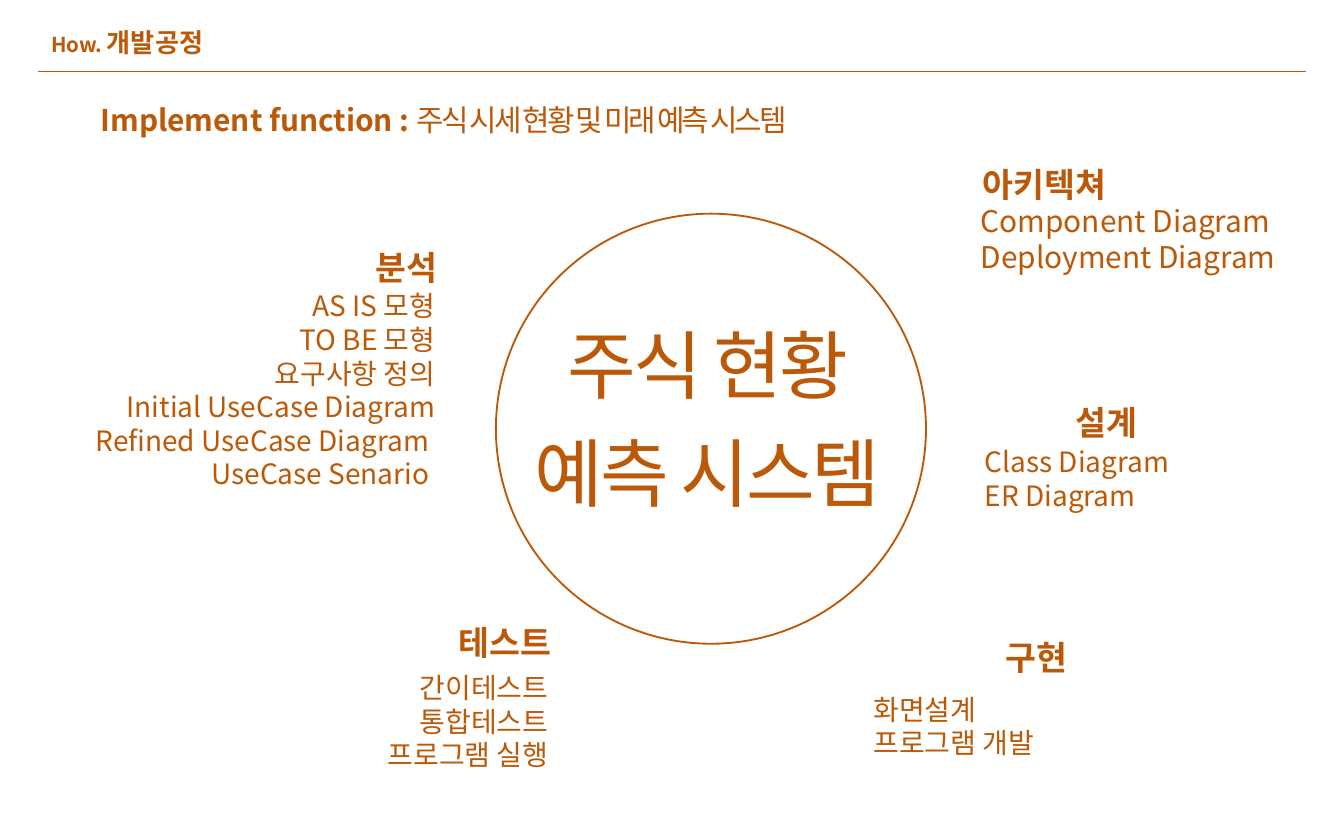
from lxml import etree
from pptx import Presentation
from pptx.dml.color import RGBColor
from pptx.enum.shapes import MSO_CONNECTOR, MSO_SHAPE
from pptx.enum.text import MSO_ANCHOR, MSO_AUTO_SIZE, PP_ALIGN
from pptx.oxml.ns import qn
from pptx.util import Inches, Pt

LEFT, CENTER, RIGHT = PP_ALIGN.LEFT, PP_ALIGN.CENTER, PP_ALIGN.RIGHT
TOP, MIDDLE = MSO_ANCHOR.TOP, MSO_ANCHOR.MIDDLE
NO_AUTOFIT = MSO_AUTO_SIZE.NONE
STRAIGHT = MSO_CONNECTOR.STRAIGHT
OVAL = MSO_SHAPE.OVAL
FONT = "Noto Sans CJK KR"
COLORS = {"accent": "BC5908", "background": "FFFFFF"}
LINE_HEIGHT = 1.2

TOPICS = [
    {"heading": "분석", "heading_at": (2.52, 1.79, 0.83, 0.4),
     "items": ["AS IS 모형", "TO BE 모형", "요구사항 정의", "Initial UseCase Diagram",
               "Refined UseCase Diagram ", "UseCase Senario "],
     "items_at": (0.35, 2.1, 2.99, 1.62), "align": RIGHT},
    {"heading": "아키텍쳐", "heading_at": (7.07, 1.17, 1.26, 0.4),
     "items": ["Component Diagram", "Deployment Diagram"],
     "items_at": (7.2, 1.46, 2.66, 0.64), "size": 16},
    {"heading": "설계", "heading_at": (7.73, 2.94, 0.83, 0.4),
     "items": ["Class Diagram", "ER Diagram"],
     "items_at": (7.23, 3.26, 2.13, 0.61)},
    {"heading": "구현", "heading_at": (7.31, 4.69, 0.73, 0.4),
     "items": ["화면설계", "프로그램 개발"],
     "items_at": (6.4, 5.1, 2.13, 0.61)},
    {"heading": "테스트", "heading_at": (2.07, 4.58, 2.13, 0.4),
     "items": ["간이테스트", "통합테스트", "프로그램 실행"],
     "items_at": (2.47, 4.94, 1.71, 0.86), "align": RIGHT},
]


def color(name):
    """Return the named palette colour."""
    return RGBColor.from_string(COLORS[name])


def add_span(para, text, size, bold=False, spacing=0):
    """Append one formatted run to a paragraph."""
    span = para.add_run()
    span.text = text
    span.font.name = FONT
    span.font.size = Pt(size)
    span.font.bold = bold
    span.font.color.rgb = color("accent")
    properties = span.font._element
    properties.set("spc", str(round(spacing * 100)))
    etree.SubElement(properties, qn("a:ea"), typeface=FONT)


def write_text(box, at, lines, size, align=LEFT, anchor=TOP, leading=1, **style):
    """Place a box and fill it with lines, each a string or a list of (text, format) spans."""
    box.left, box.top, box.width, box.height = map(Inches, at)
    frame = box.text_frame
    frame.word_wrap = True
    frame.auto_size = NO_AUTOFIT
    frame.vertical_anchor = anchor
    for index, line in enumerate(lines):
        para = frame.add_paragraph() if index else frame.paragraphs[0]
        properties = para._p.get_or_add_pPr()
        properties.set("marL", "0")
        properties.set("indent", "0")
        etree.SubElement(properties, qn("a:buNone"))
        para.alignment = align
        para.space_before = Pt(0)
        para.line_spacing = Pt(round(size * LINE_HEIGHT * leading, 1))
        spans = [(line, {})] if isinstance(line, str) else line
        for text, changes in spans:
            add_span(para, text, **{"size": size, **style, **changes})


def add_text(page, at, lines, **style):
    """Add a text box with formatted lines."""
    write_text(page.shapes.add_textbox(*map(Inches, at)), at, lines, **style)


def add_rule(page, left, right, y):
    """Draw the horizontal rule below the title."""
    rule = page.shapes.add_connector(STRAIGHT, Inches(left), Inches(y), Inches(right), Inches(y))
    rule.line.color.rgb = color("accent")
    rule.line.width = Pt(0.75)
    etree.SubElement(rule._element.spPr, qn("a:effectLst"))


def add_ring(page, left, top, diameter):
    """Draw the unfilled circle around the system name."""
    ring = page.shapes.add_shape(OVAL, *map(Inches, (left, top, diameter, diameter)))
    ring.shadow.inherit = False
    ring.fill.background()
    ring.line.color.rgb = color("accent")
    ring.line.width = Pt(1)


def add_topic(page, heading, heading_at, items, items_at, size=15, align=LEFT, body=None):
    """Add a bold heading and its list, in the body placeholder if one is given."""
    add_text(page, heading_at, [heading], size=18, bold=True, align=RIGHT)
    if body is None:
        add_text(page, items_at, items, size=size, align=align)
    else:
        write_text(body, items_at, items, size=size, align=align)


def main():
    """Build and save the slide."""
    deck = Presentation()
    deck.slide_width, deck.slide_height = Inches(10), Inches(6.25)
    page = deck.slides.add_slide(deck.slide_layouts[1])
    page.background.fill.solid()
    page.background.fill.fore_color.rgb = color("background")

    write_text(page.shapes.title, (0.28, 0.05, 7.95, 0.53),
               [[("How. ", {"size": 11}), ("개발공정", {})]],
               size=14, bold=True, anchor=MIDDLE)
    add_rule(page, 0.28, 9.72, 0.53)
    add_text(page, (0.65, 0.71, 6.79, 0.37),
             [[("Implement function : ", {"bold": True}),
               ("주식 시세 현황 및 미래 예측 시스템", {"spacing": -1.5})]], size=16)
    add_ring(page, 3.69, 1.59, 3.2)
    add_text(page, (3.59, 2.19, 3.35, 1.64), ["주식 현황", "예측 시스템"],
             size=40, align=CENTER, leading=1.2, spacing=-1.5)

    analysis, *others = TOPICS
    add_topic(page, **analysis, body=page.placeholders[1])
    for topic in others:
        add_topic(page, **topic)
    deck.save("out.pptx")


if __name__ == "__main__":
    main()
